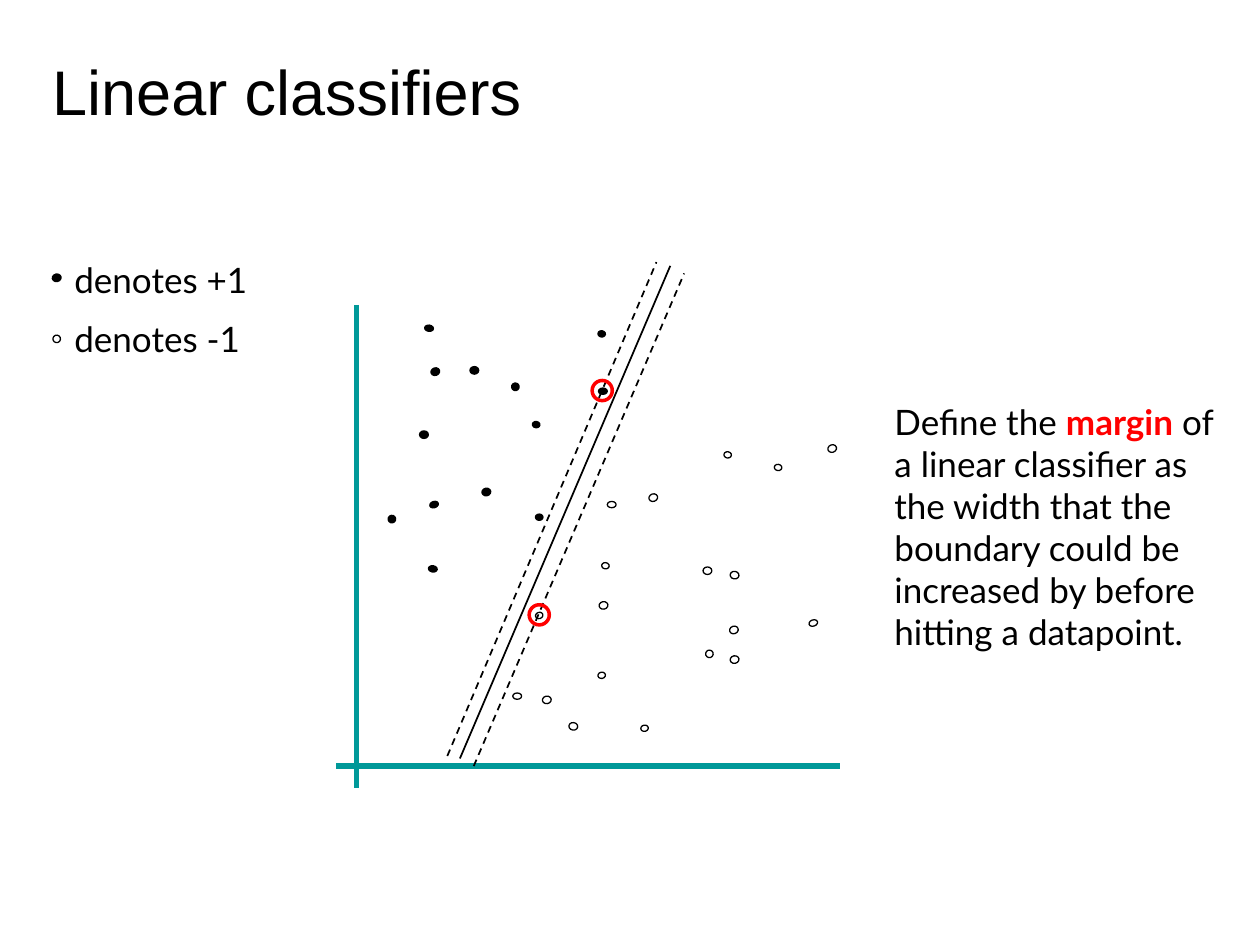
from typing import NamedTuple, Optional

from lxml.etree import SubElement
from pptx import Presentation
from pptx.dml.color import RGBColor
from pptx.enum.dml import MSO_LINE
from pptx.enum.shapes import MSO_CONNECTOR, MSO_SHAPE
from pptx.enum.text import MSO_ANCHOR
from pptx.oxml.ns import qn
from pptx.util import Inches, Pt

BLACK, WHITE, RED, TEAL = "000000", "FFFFFF", "FF0000", "009999"


class Span(NamedTuple):
    text: str
    size: float = 20
    font: str = "Lato"
    color: str = BLACK
    bold: bool = False


class Oval(NamedTuple):
    left: float
    top: float
    width: float
    height: float
    turn: float = 0


class Stroke(NamedTuple):
    start: tuple[float, float]
    end: tuple[float, float]
    color: str = BLACK
    weight: float = 1
    dashed: bool = False


LEGEND_POSITIVE = Oval(0.42, 2.17, 0.06, 0.07, 79.6)
LEGEND_NEGATIVE = Oval(0.42, 2.66, 0.06, 0.06, 98.3)

POSITIVE_POINTS = [
    Oval(3.73, 2.91, 0.07, 0.06),
    Oval(4.25, 4.08, 0.06, 0.05),
    Oval(3.33, 3.42, 0.07, 0.06),
    Oval(3.42, 2.92, 0.07, 0.06, 341.4),
    Oval(3.41, 3.98, 0.07, 0.05, 341.4),
    Oval(4.23, 3.34, 0.05, 0.06, 98.3),
    Oval(3.41, 4.48, 0.05, 0.07, 98.3),
    Oval(4.75, 2.62, 0.05, 0.06, 98.3),
    Oval(3.38, 2.57, 0.05, 0.07, 98.3),
    Oval(3.83, 3.87, 0.06, 0.07, 79.6),
    Oval(3.08, 4.09, 0.06, 0.06, 79.6),
    Oval(4.06, 3.04, 0.06, 0.06, 79.6),
]
NEGATIVE_POINTS = [
    Oval(4.07, 5.5, 0.07, 0.05),
    Oval(4.82, 3.98, 0.07, 0.05),
    Oval(5.58, 4.5, 0.07, 0.06),
    Oval(4.25, 4.86, 0.06, 0.05, 341.4),
    Oval(6.57, 3.53, 0.07, 0.06, 341.4),
    Oval(5.79, 4.97, 0.07, 0.06, 341.4),
    Oval(5.15, 3.92, 0.07, 0.06, 341.4),
    Oval(6.42, 4.92, 0.07, 0.05, 341.4),
    Oval(4.52, 5.73, 0.06, 0.07, 98.3),
    Oval(5.8, 4.53, 0.06, 0.07, 98.3),
    Oval(4.78, 4.46, 0.05, 0.06, 98.3),
    Oval(6.15, 3.68, 0.05, 0.06, 98.3),
    Oval(5.75, 3.58, 0.05, 0.06, 98.3),
    Oval(5.6, 5.16, 0.06, 0.06, 98.3),
    Oval(5.09, 5.75, 0.05, 0.06, 79.6),
    Oval(4.75, 5.33, 0.05, 0.06, 79.6),
    Oval(4.76, 4.77, 0.06, 0.07, 79.6),
    Oval(4.31, 5.52, 0.06, 0.07, 79.6),
    Oval(5.8, 5.2, 0.06, 0.07, 79.6),
]
POSITIVE_ON_MARGIN = Oval(4.75, 3.08, 0.07, 0.05)
MARGIN_RINGS = [Oval(4.2, 4.8, 0.16, 0.16), Oval(4.7, 3.02, 0.16, 0.16)]

AXES = [
    Stroke((2.83, 2.42), (2.83, 6.25), TEAL, 3),
    Stroke((2.67, 6.08), (6.67, 6.08), TEAL, 3),
]
LEFT_MARGIN = Stroke((3.55, 6), (5.21, 2.08), dashed=True)
RIGHT_MARGIN = Stroke((3.76, 6.08), (5.43, 2.17), dashed=True)
BOUNDARY = Stroke((3.65, 6.02), (5.32, 2.11))


def paint(target, color: str) -> None:
    target.rgb = RGBColor.from_string(color)


def draw_oval(page, oval: Oval, fill: Optional[str], color: str = BLACK, weight: float = 0.75) -> None:
    shape = page.shapes.add_shape(MSO_SHAPE.OVAL, *(Inches(length) for length in oval[:4]))
    shape.shadow.inherit = False
    shape.rotation = oval.turn
    if fill is None:
        shape.fill.background()
    else:
        shape.fill.solid()
        paint(shape.fill.fore_color, fill)
    paint(shape.line.color, color)
    shape.line.width = Pt(weight)


def draw_stroke(page, stroke: Stroke) -> None:
    ends = (Inches(length) for length in stroke.start + stroke.end)
    connector = page.shapes.add_connector(MSO_CONNECTOR.STRAIGHT, *ends)
    paint(connector.line.color, stroke.color)
    connector.line.width = Pt(stroke.weight)
    if stroke.dashed:
        connector.line.dash_style = MSO_LINE.DASH
    SubElement(connector._element.spPr, qn("a:effectLst"))


def draw_text(page, left: float, top: float, width: float, height: float,
              paragraphs: list[list[Span]], anchor: MSO_ANCHOR = MSO_ANCHOR.TOP) -> None:
    box = page.shapes.add_textbox(Inches(left), Inches(top), Inches(width), Inches(height))
    frame = box.text_frame
    frame.word_wrap = True
    frame.vertical_anchor = anchor
    for index, spans in enumerate(paragraphs):
        para = frame.add_paragraph() if index else frame.paragraphs[0]
        if index:
            para.space_before = Pt(10)
        for span in spans:
            run = para.add_run()
            run.text = span.text
            run.font.size = Pt(span.size)
            run.font.name = span.font
            run.font.bold = span.bold
            paint(run.font.color, span.color)


def main() -> None:
    deck = Presentation()
    deck.slide_width, deck.slide_height = Inches(10), Inches(7.5)
    page = deck.slides.add_slide(deck.slide_layouts[6])

    draw_text(page, 0.42, 2, 2.08, 0.93, [[Span(" denotes +1")], [Span(" denotes -1")]])
    draw_oval(page, LEGEND_POSITIVE, BLACK)
    draw_oval(page, LEGEND_NEGATIVE, WHITE)
    for axis in AXES:
        draw_stroke(page, axis)
    for points, fill in ((POSITIVE_POINTS, BLACK), (NEGATIVE_POINTS, WHITE)):
        for point in points:
            draw_oval(page, point, fill)
    draw_text(page, 7, 3.13, 2.85, 2.12, [[
        Span("Define the "),
        Span("margin", color=RED, bold=True),
        Span(" of a linear classifier as the width that the boundary could be "
             "increased by before hitting a datapoint."),
    ]])
    draw_stroke(page, LEFT_MARGIN)
    draw_oval(page, POSITIVE_ON_MARGIN, BLACK)
    draw_stroke(page, RIGHT_MARGIN)
    draw_stroke(page, BOUNDARY)
    draw_text(page, 0.17, 0.33, 5.08, 0.75, [[
        Span(" ", 42, "Times New Roman"),
        Span("Linear classifiers", 36, "Arial"),
    ]], MSO_ANCHOR.BOTTOM)
    for ring in MARGIN_RINGS:
        draw_oval(page, ring, None, RED, 2)

    deck.save("out.pptx")


if __name__ == "__main__":
    main()
